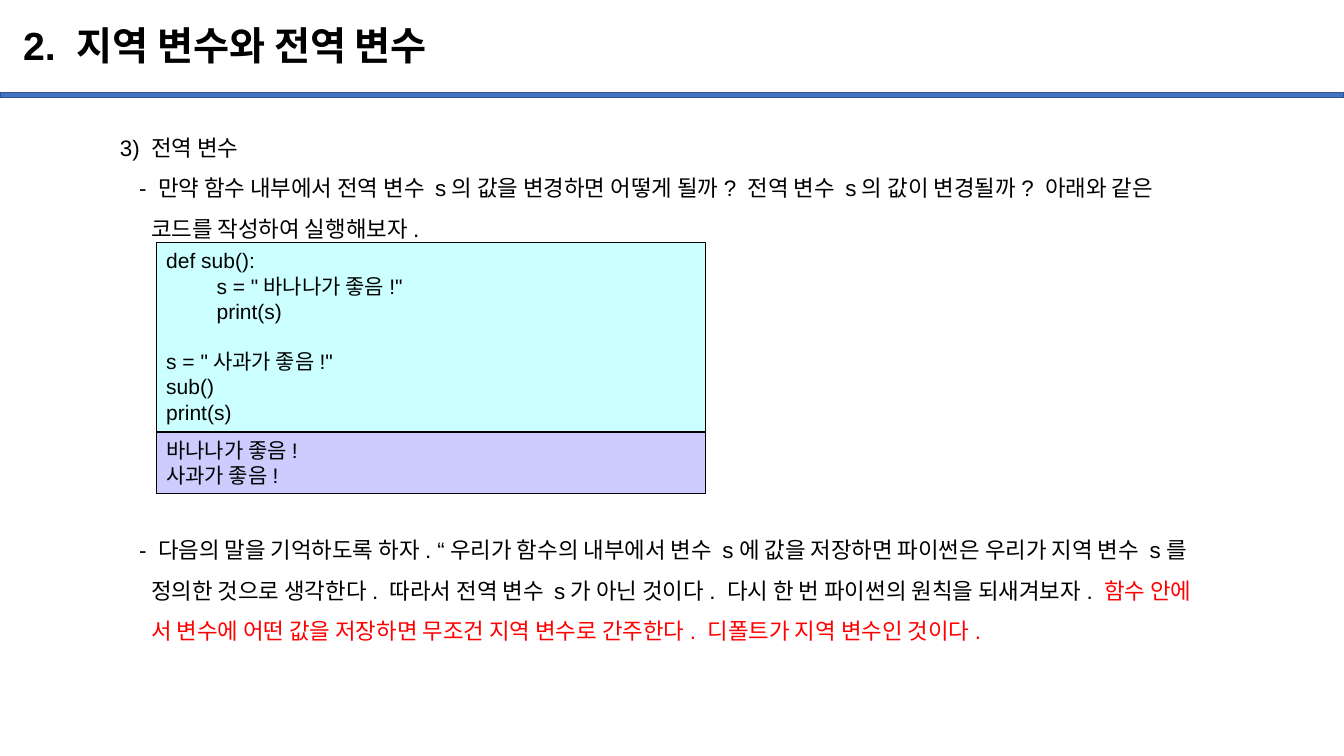
"""Build a slide on local and global variables in Python."""
from dataclasses import dataclass

from pptx import Presentation
from pptx.dml.color import RGBColor
from pptx.enum.shapes import MSO_SHAPE
from pptx.enum.text import MSO_ANCHOR, MSO_AUTO_SIZE, PP_ALIGN
from pptx.shapes.autoshape import Shape
from pptx.slide import Slide
from pptx.text.text import TextFrame
from pptx.util import Inches, Pt

FONT = "Arial"
BLACK = "000000"
RED = "FF0000"
DASH_INDENT = 0.19
TEXT_INDENT = 0.31
CODE_INDENT = 0.5


@dataclass(frozen=True)
class Line:
    text: str
    indent: float = 0
    space_before: float = 0
    color: str = BLACK
    red_ending: str = ""


@dataclass(frozen=True)
class Panel:
    top: float
    height: float
    fill: str
    lines: tuple[Line, ...]


BODY = (
    Line("3) 전역 변수"),
    Line("- 만약 함수 내부에서 전역 변수 s의 값을 변경하면 어떻게 될까? 전역 변수 s의 값이 변경될까? 아래와 같은", DASH_INDENT),
    Line("코드를 작성하여 실행해보자.", TEXT_INDENT),
    Line("- 다음의 말을 기억하도록 하자. “우리가 함수의 내부에서 변수 s에 값을 저장하면 파이썬은 우리가 지역 변수 s를",
         DASH_INDENT, space_before=201),
    Line("정의한 것으로 생각한다. 따라서 전역 변수 s가 아닌 것이다. 다시 한 번 파이썬의 원칙을 되새겨보자. ",
         TEXT_INDENT, red_ending="함수 안에"),
    Line("서 변수에 어떤 값을 저장하면 무조건 지역 변수로 간주한다. 디폴트가 지역 변수인 것이다.", TEXT_INDENT, color=RED),
)

PANELS = (
    Panel(2.41, 1.87, "CCFFFF", (
        Line("def sub():"),
        Line('s = "바나나가 좋음!"', CODE_INDENT),
        Line("print(s)", CODE_INDENT),
        Line('s = "사과가 좋음!"', space_before=18),
        Line("sub()"),
        Line("print(s)"),
    )),
    Panel(4.29, 0.61, "CCCCFF", (Line("바나나가 좋음!"), Line("사과가 좋음!"))),
)


def rgb(color: str) -> RGBColor:
    """Turn a hex string into a colour."""
    return RGBColor.from_string(color)


def write_lines(frame: TextFrame, lines: tuple[Line, ...], size: float, spacing: float = 1) -> None:
    """Write each line as a left-aligned paragraph."""
    frame.word_wrap = True
    frame.auto_size = MSO_AUTO_SIZE.SHAPE_TO_FIT_TEXT
    frame.vertical_anchor = MSO_ANCHOR.TOP
    for index, line in enumerate(lines):
        paragraph = frame.add_paragraph() if index else frame.paragraphs[0]
        paragraph.alignment = PP_ALIGN.LEFT
        paragraph.line_spacing = spacing
        paragraph.space_before = Pt(line.space_before)
        paragraph.font.name = FONT
        paragraph.font.size = Pt(size)
        paragraph.font.color.rgb = rgb(line.color)
        paragraph._p.get_or_add_pPr().set("marL", str(Inches(line.indent)))
        paragraph.add_run().text = line.text
        if line.red_ending:
            ending = paragraph.add_run()
            ending.text = line.red_ending
            ending.font.color.rgb = rgb(RED)


def add_rectangle(slide: Slide, left: float, top: float, width: float, height: float,
                  fill: str, outline: str, outline_width: float) -> Shape:
    """Add a flat outlined rectangle."""
    shape = slide.shapes.add_shape(
        MSO_SHAPE.RECTANGLE, Inches(left), Inches(top), Inches(width), Inches(height))
    shape.shadow.inherit = False
    shape.fill.solid()
    shape.fill.fore_color.rgb = rgb(fill)
    shape.line.color.rgb = rgb(outline)
    shape.line.width = Pt(outline_width)
    return shape


def format_title(slide: Slide) -> None:
    """Place and fill the title placeholder."""
    title = slide.shapes.title
    title.left, title.top = Inches(0.13), Inches(0.1)
    title.width, title.height = Inches(11.5), Inches(0.74)
    frame = title.text_frame
    frame.text = "2. 지역 변수와 전역 변수"
    frame.auto_size = MSO_AUTO_SIZE.NONE
    frame.vertical_anchor = MSO_ANCHOR.MIDDLE
    paragraph = frame.paragraphs[0]
    paragraph.alignment = PP_ALIGN.LEFT
    paragraph.line_spacing = 0.9
    paragraph.font.name = FONT
    paragraph.font.size = Pt(28)
    paragraph.font.bold = True
    paragraph.font.color.rgb = rgb(BLACK)


def main() -> None:
    """Build and save the presentation."""
    presentation = Presentation()
    presentation.slide_width = Inches(13.33)
    presentation.slide_height = Inches(7.5)
    slide = presentation.slides.add_slide(presentation.slide_layouts[5])
    format_title(slide)
    add_rectangle(slide, 0, 0.92, 13.33, 0.05, "4472C4", "325491", 1)
    body = slide.shapes.add_textbox(Inches(1.09), Inches(1.15), Inches(11.72), Inches(5.7))
    write_lines(body.text_frame, BODY, 16, 1.5)
    for panel in PANELS:
        shape = add_rectangle(slide, 1.55, panel.top, 5.45, panel.height, panel.fill, BLACK, 0.75)
        write_lines(shape.text_frame, panel.lines, 15)
    presentation.save("out.pptx")


if __name__ == "__main__":
    main()
